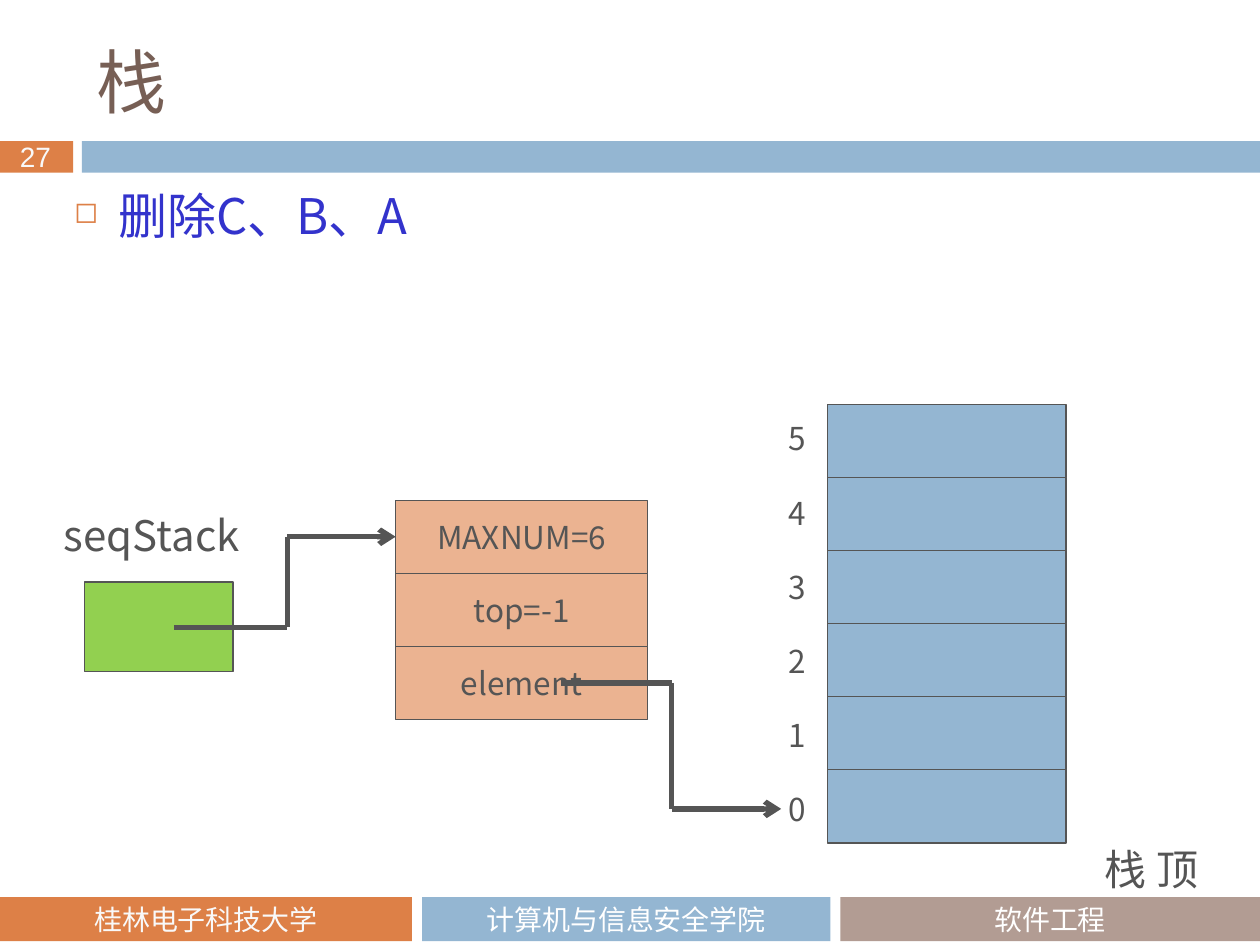
from dataclasses import dataclass
from lxml.etree import SubElement
from pptx import Presentation
from pptx.dml.color import RGBColor as Rgb
from pptx.enum.shapes import MSO_CONNECTOR as Conn, MSO_SHAPE as Kind
from pptx.enum.text import MSO_ANCHOR as Anchor, PP_ALIGN as Align
from pptx.oxml.ns import qn
from pptx.util import Inches, Pt


@dataclass(frozen=True)
class Theme:
    orange: str = "DD8047"
    blue: str = "94B6D2"
    taupe: str = "B29C93"
    peach: str = "EBB391"
    green: str = "92D050"
    brown: str = "775F55"
    navy: str = "3333CC"
    ink: str = "555555"
    white: str = "FFFFFF"
    pale: str = "F9F9F9"
    sans: str = "Noto Sans CJK SC"
    head: str = "Noto Sans CJK JP"
    foot: str = "Calibri"
    num: str = "Arial"
    huge: int = 40
    large: int = 28
    mid: int = 24
    body: int = 18
    small: int = 16
    lead: int = 30
    thin: float = 0.75
    thick: float = 3


T = Theme()
WIDE, HIGH = Inches(10), Inches(7.5)
# The slide is a grid of 100 columns by 75 rows.
COL, ROW = WIDE / 100, HIGH / 75


def place(box):
    x, y, w, h = box
    return [round(v) for v in (x * COL, y * ROW, w * COL, h * ROW)]


def write(shape, text, size=T.body, font=T.sans, color=T.ink, align=Align.LEFT,
          anchor=Anchor.TOP, lead=None, wrap=True, bullet=None):
    frame = shape.text_frame
    frame.word_wrap = wrap
    frame.vertical_anchor = anchor
    para = frame.paragraphs[0]
    para.alignment = align
    if lead:
        para.line_spacing = Pt(lead)
    if bullet:
        props = para._p.get_or_add_pPr()
        props.set("marL", str(Inches(0.35)))
        props.set("indent", str(-Inches(0.35)))
        tint = SubElement(props, qn("a:buClr"))
        SubElement(tint, qn("a:srgbClr"), val=T.orange)
        SubElement(props, qn("a:buSzPct"), val="60000")
        SubElement(props, qn("a:buChar"), char=bullet)
    run = para.add_run()
    run.text = text
    run.font.size = Pt(size)
    run.font.name = font
    run.font.color.rgb = Rgb.from_string(color)
    SubElement(run._r.get_or_add_rPr(), qn("a:ea"), typeface=font)


def label(slide, box, text, **form):
    write(slide.shapes.add_textbox(*place(box)), text, **form)


def block(slide, box, fill, edge=None):
    shape = slide.shapes.add_shape(Kind.RECTANGLE, *place(box))
    shape.shadow.inherit = False
    shape.fill.solid()
    shape.fill.fore_color.rgb = Rgb.from_string(fill)
    if edge:
        shape.line.color.rgb = Rgb.from_string(edge)
        shape.line.width = Pt(T.thin)
    else:
        shape.line.fill.background()
    return shape


def route(slide, *points):
    """Joins the points with straight lines; the last has an arrowhead."""
    for start, end in zip(points, points[1:]):
        ends = place((*start, *end))
        line = slide.shapes.add_connector(Conn.STRAIGHT, *ends)
        line.line.color.rgb = Rgb.from_string(T.ink)
        line.line.width = Pt(T.thick)
        SubElement(line._element.spPr, qn("a:effectLst"))
    SubElement(line.line._get_or_add_ln(), qn("a:tailEnd"), type="arrow")


def header(slide, box):
    x, y, w, h = box
    # Title, then the number tab and the long band
    label(slide, (x + 6.7, y + 2.5, 89.2, 7.8), "栈", size=T.huge,
          font=T.head, color=T.brown, anchor=Anchor.MIDDLE)
    band = y + h - 2.5
    block(slide, (x, band, 5.8, 2.5), T.orange)
    block(slide, (x + 6.5, band, w - 6.5, 2.5), T.blue)
    label(slide, (x + 0.6, band - 0.6, 4.8, 3.7), "27", size=T.small,
          font=T.num, color=T.pale, wrap=False)


def footer(slide, box):
    x, y, w, h = box
    parts = [(0, 32.7, T.orange, T.pale, "桂林电子科技大学"),
             (33.5, 32.4, T.blue, T.white, "计算机与信息安全学院"),
             (66.7, w - 66.7, T.taupe, T.white, "软件工程")]
    for left, wide, fill, color, text in parts:
        cell = block(slide, (x + left, y, wide, h), fill)
        write(cell, text, size=T.small, font=T.foot, color=color,
              align=Align.CENTER, anchor=Anchor.MIDDLE)


def pointer(slide, box):
    x, y, w, h = box
    label(slide, (x - 2.6, y - 6.4, 17, 5.2), "seqStack", size=T.mid, lead=T.lead)
    block(slide, box, T.green, T.ink)


def record(slide, box, fields):
    x, y, w, h = box
    step = h / len(fields)
    for i, text in enumerate(fields):
        cell = block(slide, (x, y + i * step, w, step), T.peach, T.ink)
        write(cell, text, align=Align.CENTER, anchor=Anchor.MIDDLE)


def stack(slide, box, count):
    x, y, w, h = box
    step = h / count
    for i in range(count):
        top = y + i * step
        block(slide, (x, top, w, step), T.blue, T.ink)
        # Index beside each cell, counted from the bottom
        label(slide, (x - 4.1, y + 0.7 + i * 5.88, 3.6, 4), str(count - 1 - i),
              wrap=False)
    label(slide, (x + 21, y + h - 0.6, 12.4, 5.2), "栈 顶", size=T.mid, lead=T.lead)


def main():
    deck = Presentation()
    deck.slide_width, deck.slide_height = WIDE, HIGH
    slide = deck.slides.add_slide(deck.slide_layouts[6])
    header(slide, (0, 0, 100, 13.7))
    footer(slide, (0, 71.2, 100, 3.5))
    label(slide, (4.9, 14.7, 89.2, 22.1), "删除C、B、A", size=T.large,
          color=T.navy, lead=T.lead, bullet="◻")
    # Diagram: pointer, record, stack
    stack(slide, (65.7, 32.1, 18.9, 34.8), 6)
    record(slide, (31.4, 39.7, 20, 17.4), ["MAXNUM=6", "top=-1", "element"])
    pointer(slide, (6.7, 46.2, 11.8, 7.1))
    route(slide, (13.8, 49.8), (22.8, 49.8), (22.8, 42.6), (31.4, 42.6))
    route(slide, (44.5, 54.2), (53.3, 54.2), (53.3, 64.2), (62, 64.2))
    deck.save("out.pptx")


if __name__ == "__main__":
    main()
